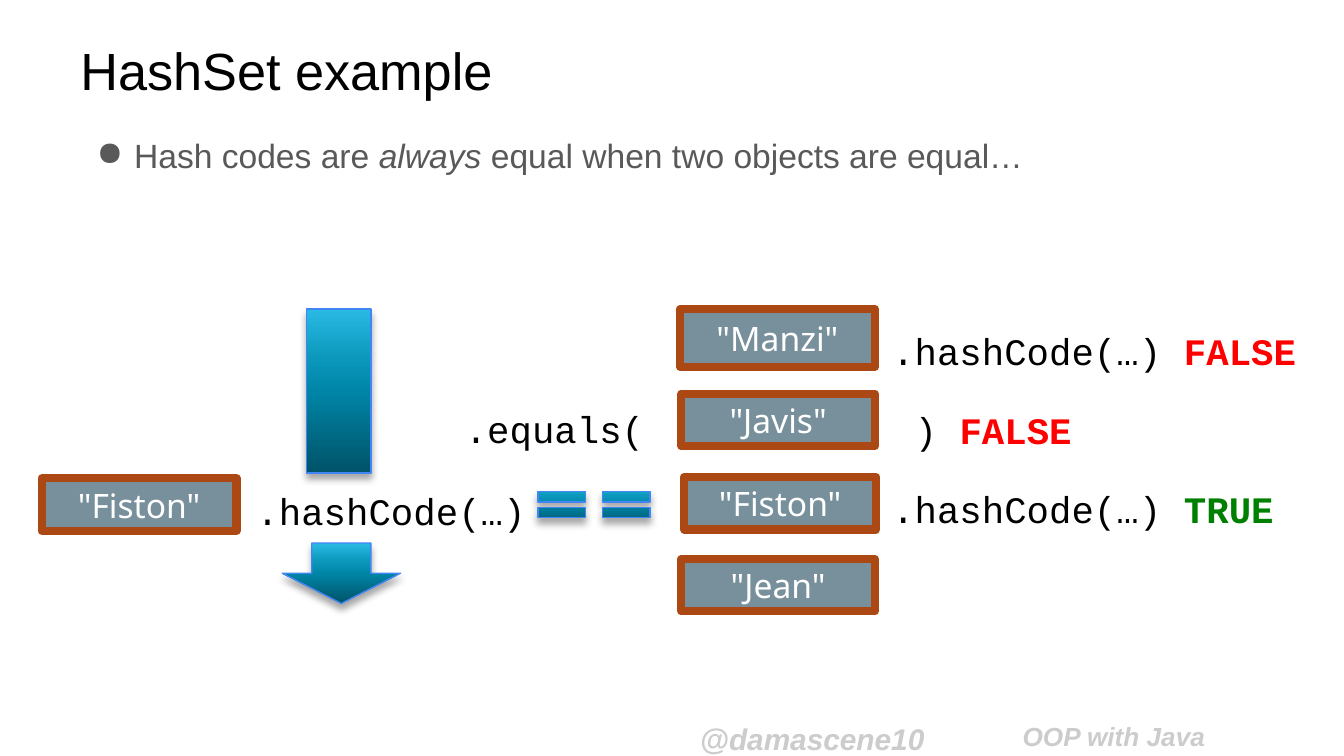
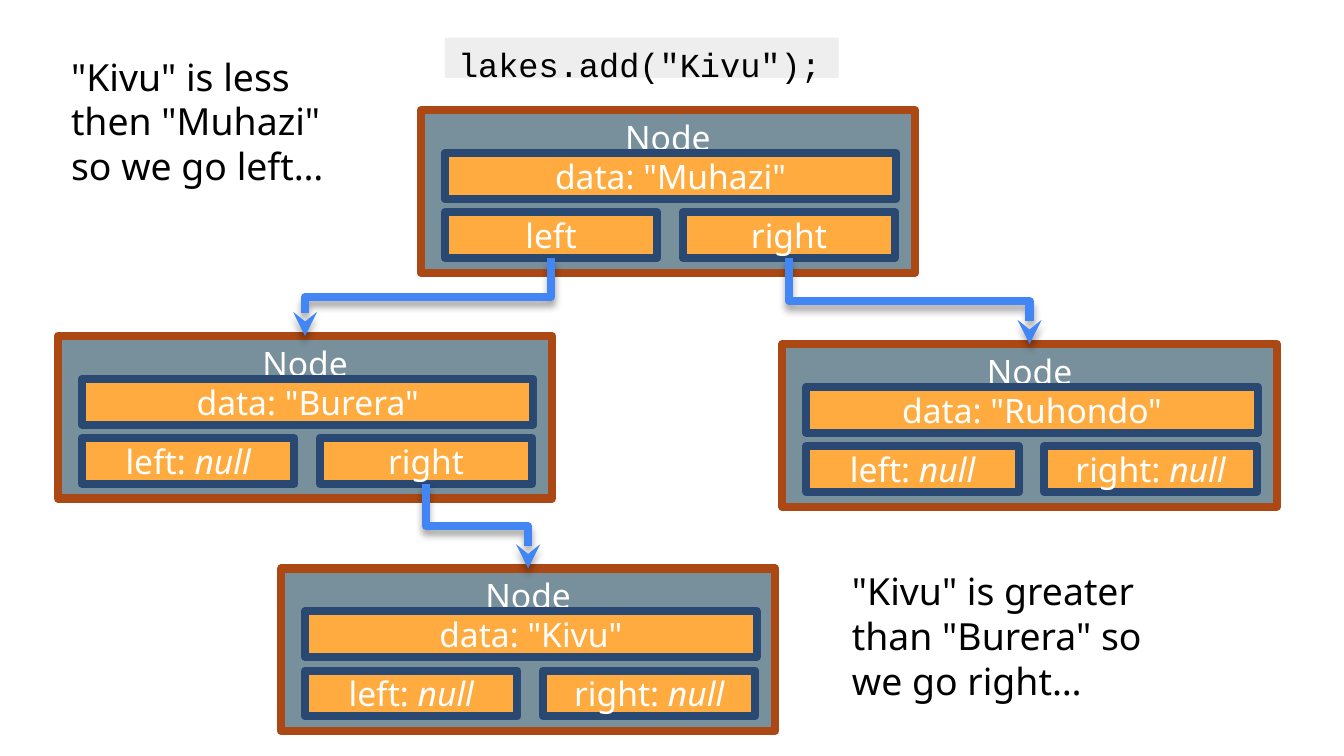
from lxml.etree import SubElement
from pptx import Presentation
from pptx.dml.color import RGBColor
from pptx.enum.shapes import MSO_CONNECTOR, MSO_SHAPE
from pptx.enum.text import MSO_ANCHOR, PP_ALIGN
from pptx.oxml.ns import qn
from pptx.util import Inches, Pt

COLORS = {
    "black": "000000", "white": "FFFFFF", "body": "595959", "footer": "CCCCCC",
    "steel": "78909C", "rust": "AB4813", "orange": "FFAB40", "navy": "294872",
    "blue": "4285F4", "code": "EEEEEE", "red": "FF0000", "green": "008000",
}
GRADIENT = {0: "005368", 50: "0085A7", 70: "0B98BC", 100: "29BAE3"}
FORMATS = {
    "title": {"name": "Arial", "size": Pt(28), "color": "black"},
    "body": {"name": "Arial", "size": Pt(18), "color": "body"},
    "handle": {"name": "Arial", "size": Pt(16), "color": "footer", "bold": True, "italic": True},
    "course": {"name": "Arial", "size": Pt(14), "color": "footer", "bold": True, "italic": True},
    "box": {"name": "Noto Sans", "size": Pt(18), "color": "white"},
    "note": {"name": "Noto Sans", "size": Pt(20), "color": "black"},
    "call": {"name": "Courier New", "size": Pt(20), "color": "black"},
    "code": {"name": "Courier New", "size": Pt(18), "color": "black"},
}
ITALIC = {"italic": True}
FALSE = ("FALSE", {"bold": True, "color": "red"})
TRUE = ("TRUE", {"bold": True, "color": "green"})
COLUMNS, ROWS = 100, 56.25
BORDER = 4.33


class Painter:
    """Draws styled elements on the current page, on a grid of 100 columns by 56.25 rows."""

    def __init__(self):
        self.deck = Presentation()
        self.deck.slide_width, self.deck.slide_height = Inches(10), Inches(5.625)
        self.page = None

    def new_page(self):
        self.page = self.deck.slides.add_slide(self.deck.slide_layouts[6])

    def column(self, count):
        return round(self.deck.slide_width * count / COLUMNS)

    def row(self, count):
        return round(self.deck.slide_height * count / ROWS)

    def area(self, left, top, width, height):
        return self.column(left), self.row(top), self.column(width), self.row(height)

    def fill_text(self, box, spans, style, anchor=MSO_ANCHOR.TOP, align=PP_ALIGN.LEFT):
        frame = box.text_frame
        frame.word_wrap = True
        frame.vertical_anchor = anchor
        para = frame.paragraphs[0]
        para.alignment = align
        for text, extra in spans:
            span = para.add_run()
            span.text = text
            for key, value in {**FORMATS[style], **extra}.items():
                if key == "color":
                    span.font.color.rgb = RGBColor.from_string(COLORS[value])
                else:
                    setattr(span.font, key, value)
        return para

    def text(self, place, spans, style, **layout):
        box = self.page.shapes.add_textbox(*self.area(*place))
        return self.fill_text(box, spans, style, **layout)

    def bullet(self, place, spans):
        para = self.text(place, spans, "body")
        para.line_spacing = 1.15
        properties = para._p.get_or_add_pPr()
        properties.set("marL", str(Inches(0.4)))
        properties.set("indent", str(Inches(-0.28)))
        color = SubElement(properties, qn("a:buClr"))
        SubElement(color, qn("a:srgbClr"), val=COLORS["body"])
        SubElement(properties, qn("a:buChar"), char="●")

    def footer(self, left, text, style):
        box = self.page.shapes.add_textbox(*self.area(left, 52.6, 21.8, 3.3))
        box.text_frame.margin_top = box.text_frame.margin_bottom = self.row(1)
        self.fill_text(box, [(text, {})], style)

    def box(self, place, spans, fill="steel", border="rust", style="box",
            anchor=MSO_ANCHOR.MIDDLE, align=PP_ALIGN.CENTER):
        shape = self.page.shapes.add_shape(MSO_SHAPE.RECTANGLE, *self.area(*place))
        shape.shadow.inherit = False
        shape.fill.solid()
        shape.fill.fore_color.rgb = RGBColor.from_string(COLORS[fill])
        if border:
            self.outline(shape.line, border, BORDER)
        else:
            shape.line.fill.background()
        self.fill_text(shape, spans, style, anchor, align)

    def outline(self, line, color, width):
        line.color.rgb = RGBColor.from_string(COLORS[color])
        line.width = Pt(width)

    def cast_shadow(self, properties):
        effects = properties.find(qn("a:effectLst"))
        if effects is None:
            effects = SubElement(properties, qn("a:effectLst"))
        shadow = SubElement(effects, qn("a:outerShdw"), blurRad=str(Pt(4)), dist=str(Pt(3)),
                            dir="5400000", rotWithShape="0")
        color = SubElement(shadow, qn("a:srgbClr"), val=COLORS["black"])
        SubElement(color, qn("a:alpha"), val="35000")

    def symbol(self, kind, place, adjustments=()):
        shape = self.page.shapes.add_shape(kind, *self.area(*place))
        for index, value in enumerate(adjustments):
            shape.adjustments[index] = value
        shape.fill.gradient()
        shape.fill.gradient_angle = 90
        properties = shape._element.spPr
        stops = properties.find(qn("a:gradFill")).find(qn("a:gsLst"))
        for stop in list(stops):
            stops.remove(stop)
        for position, color in GRADIENT.items():
            stop = SubElement(stops, qn("a:gs"), pos=str(position * 1000))
            SubElement(stop, qn("a:srgbClr"), val=color)
        self.outline(shape.line, "blue", 0.75)
        shape.shadow.inherit = False
        self.cast_shadow(properties)

    def elbow(self, start, end):
        """Bends down, across and down again by turning a sideways elbow."""
        (x1, y1), (x2, y2) = start, end
        middle_x, middle_y = (x1 + x2) / 2, (y1 + y2) / 2
        half_width, half_height = (y2 - y1) / 2, abs(x2 - x1) / 2
        line = self.page.shapes.add_connector(
            MSO_CONNECTOR.ELBOW,
            self.column(middle_x - half_width), self.row(middle_y - half_height),
            self.column(middle_x + half_width), self.row(middle_y + half_height))
        properties = line._element.spPr
        turn = properties.find(qn("a:xfrm"))
        if x2 > x1:
            turn.set("rot", "16200000")
            turn.set("flipH", "1")
        else:
            turn.set("rot", "5400000")
        self.outline(line.line, "blue", BORDER)
        SubElement(properties.find(qn("a:ln")), qn("a:tailEnd"), type="stealth")
        self.cast_shadow(properties)

    def node(self, left, top, word, children):
        self.box((left, top, 36.8, 12.1), [("Node", {})], anchor=MSO_ANCHOR.TOP)
        fields = [(1.8, 3.2, 33.6, [(f'data: "{word}"', {})])]
        for offset, side, child in zip((1.8, 19.5), ("left", "right"), children):
            spans = [(side, {})] if child else [(f"{side}: ", {}), ("null", ITALIC)]
            fields.append((offset, 7.6, 15.8, spans))
        for across, down, width, spans in fields:
            self.box((left + across, top + down, width, 3.4), spans, "orange", "navy")


def draw_hash_set(painter):
    painter.new_page()
    painter.footer(51.1, "@damascene10", "handle")
    painter.footer(75.1, "OOP with Java", "course")
    painter.text((5, 1.7, 90, 7), [("HashSet example", {})], "title", anchor=MSO_ANCHOR.MIDDLE)
    painter.bullet((5, 9.1, 90, 27.8), [
        ("Hash codes are ", {}), ("always", ITALIC),
        (" equal when two objects are equal…", {})])
    for place, name in (
            ((50.6, 23, 14.5, 4.3), "Manzi"), ((50.7, 29.3, 14.4, 3.9), "Javis"),
            ((50.9, 35.5, 14.3, 3.9), "Fiston"), ((50.7, 41.6, 14.4, 3.9), "Jean"),
            ((3.1, 35.6, 14.5, 3.9), "Fiston")):
        painter.box(place, [(f'"{name}"', {})])
    for left, top, width, spans in (
            (65.4, 23.9, 32.3, [(".hashCode(…) ", {}), FALSE]),
            (65.4, 29.8, 15.5, [(" ) ", {}), FALSE]),
            (65.4, 35.7, 30.6, [(".hashCode(…) ", {}), TRUE]),
            (18.1, 35.8, 22.2, [(".hashCode(…)", {})]),
            (33.6, 29.7, 15.5, [(".equals(", {})])):
        painter.text((left, top, width, 4.4), spans, "call")
    for left in (44.2, 39.4):
        painter.symbol(MSO_SHAPE.MATH_EQUAL, (left, 35.9, 4.8, 3.3), (0.235, 0.118))
    painter.symbol(MSO_SHAPE.DOWN_ARROW, (21, 40.4, 8.8, 4.5))
    painter.symbol(MSO_SHAPE.RECTANGLE, (22.8, 23, 4.8, 12.2))


def draw_tree(painter):
    painter.new_page()
    tree = {
        "Muhazi": (31.3, 8.2, ("Burera", "Ruhondo")),
        "Burera": (4.3, 25, (None, "Kivu")),
        "Ruhondo": (58.2, 25.6, (None, None)),
        "Kivu": (20.9, 42.3, (None, None)),
    }
    for word, (left, top, children) in tree.items():
        painter.node(left, top, word, children)
    for left, top, children in tree.values():
        for offset, child in zip((9.7, 27.4), children):
            if child:
                child_left, child_top, _ = tree[child]
                painter.elbow((left + offset, top + 11), (child_left + 18.4, child_top))
    painter.box((33.1, 2.8, 29.3, 3), [('lakes.add("Kivu");', {})], "code", None, "code",
                MSO_ANCHOR.TOP, PP_ALIGN.LEFT)
    for left, top, note in (
            (4.3, 3.5, '"Kivu" is less then "Muhazi" so we go left…'),
            (62.4, 41.8, '"Kivu" is greater than "Burera" so we go right…')):
        painter.text((left, top, 23.9, 11.1), [(note, {})], "note")


def main():
    painter = Painter()
    draw_hash_set(painter)
    draw_tree(painter)
    painter.deck.save("out.pptx")


if __name__ == "__main__":
    main()
